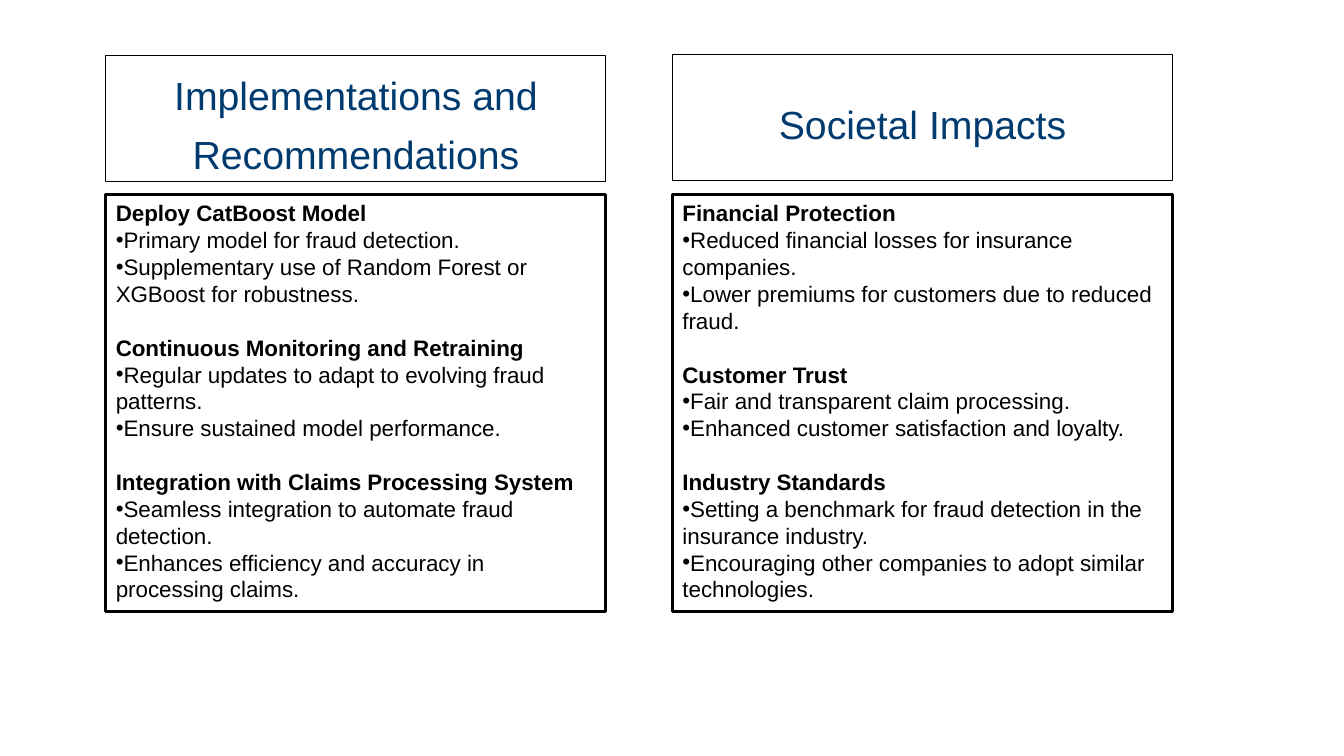
from lxml import etree
from pptx import Presentation
from pptx.dml.color import RGBColor
from pptx.enum.shapes import MSO_SHAPE
from pptx.enum.text import MSO_ANCHOR, PP_ALIGN
from pptx.oxml.ns import qn
from pptx.util import Inches, Pt

RECTANGLE = MSO_SHAPE.RECTANGLE
TOP, MIDDLE = MSO_ANCHOR.TOP, MSO_ANCHOR.MIDDLE
LEFT, CENTER = PP_ALIGN.LEFT, PP_ALIGN.CENTER

BLACK = RGBColor(0x00, 0x00, 0x00)
WHITE = RGBColor(0xFF, 0xFF, 0xFF)
NAVY = RGBColor(0x00, 0x3B, 0x70)

COLUMN_WIDTH = 4.96
BODY_TOP = 1.93

# Each column: left, heading top, heading, topics with their points
COLUMNS = [
    (1.05, 0.55, "Implementations and Recommendations", [
        ("Deploy CatBoost Model", [
            "Primary model for fraud detection.",
            "Supplementary use of Random Forest or XGBoost for robustness.",
        ]),
        ("Continuous Monitoring and Retraining", [
            "Regular updates to adapt to evolving fraud patterns.",
            "Ensure sustained model performance.",
        ]),
        ("Integration with Claims Processing System", [
            "Seamless integration to automate fraud detection.",
            "Enhances efficiency and accuracy in processing claims.",
        ]),
    ]),
    (6.67, 0.54, "Societal Impacts", [
        ("Financial Protection", [
            "Reduced financial losses for insurance companies.",
            "Lower premiums for customers due to reduced fraud.",
        ]),
        ("Customer Trust", [
            "Fair and transparent claim processing.",
            "Enhanced customer satisfaction and loyalty.",
        ]),
        ("Industry Standards", [
            "Setting a benchmark for fraud detection in the insurance industry.",
            "Encouraging other companies to adopt similar technologies.",
        ]),
    ]),
]


class SlideBuilder:
    font_name = "Arial"
    heading_size, heading_spacing = Pt(28), Pt(42)
    body_size, body_spacing = Pt(16), Pt(19.2)

    def __init__(self, slide):
        self.slide = slide

    def box(self, left, top, height, line_width, anchor):
        shape = self.slide.shapes.add_shape(
            RECTANGLE, Inches(left), Inches(top), Inches(COLUMN_WIDTH), Inches(height))
        shape.shadow.inherit = False
        shape.line.color.rgb = BLACK
        shape.line.width = Pt(line_width)
        shape.text_frame.word_wrap = True
        shape.text_frame.vertical_anchor = anchor
        return shape

    def add_text(self, paragraph, text, size, color, spacing, bold=False, alignment=LEFT):
        paragraph.alignment = alignment
        paragraph.line_spacing = spacing
        run = paragraph.add_run()
        run.text = text
        run.font.name = self.font_name
        run.font.size = size
        run.font.bold = bold
        run.font.color.rgb = color

    def bullet(self, paragraph):
        properties = paragraph._p.get_or_add_pPr()
        properties.set("marL", "0")
        properties.set("indent", "0")
        etree.SubElement(properties, qn("a:buFont")).set("typeface", self.font_name)
        etree.SubElement(properties, qn("a:buChar")).set("char", "•")

    def heading(self, left, top, text):
        shape = self.box(left, top, 1.25, 0.75, MIDDLE)
        shape.fill.background()
        frame = shape.text_frame
        frame.margin_left = frame.margin_right = Inches(0)
        frame.margin_top = frame.margin_bottom = Inches(0)
        self.add_text(frame.paragraphs[0], text, self.heading_size, NAVY,
                      self.heading_spacing, alignment=CENTER)

    def body(self, left, topics):
        shape = self.box(left, BODY_TOP, 4.14, 2, TOP)
        shape.fill.solid()
        shape.fill.fore_color.rgb = WHITE
        frame = shape.text_frame
        for index, (topic, points) in enumerate(topics):
            paragraph = frame.add_paragraph() if index else frame.paragraphs[0]
            self.add_text(paragraph, topic, self.body_size, BLACK, self.body_spacing, bold=True)
            if index:
                paragraph.space_before = self.body_spacing
            for point in points:
                paragraph = frame.add_paragraph()
                self.add_text(paragraph, point, self.body_size, BLACK, self.body_spacing)
                self.bullet(paragraph)


def main():
    presentation = Presentation()
    presentation.slide_width = Inches(13.33)
    presentation.slide_height = Inches(7.5)
    builder = SlideBuilder(presentation.slides.add_slide(presentation.slide_layouts[6]))
    for left, heading_top, heading, topics in COLUMNS:
        builder.heading(left, heading_top, heading)
        builder.body(left, topics)
    presentation.save("out.pptx")


if __name__ == "__main__":
    main()
